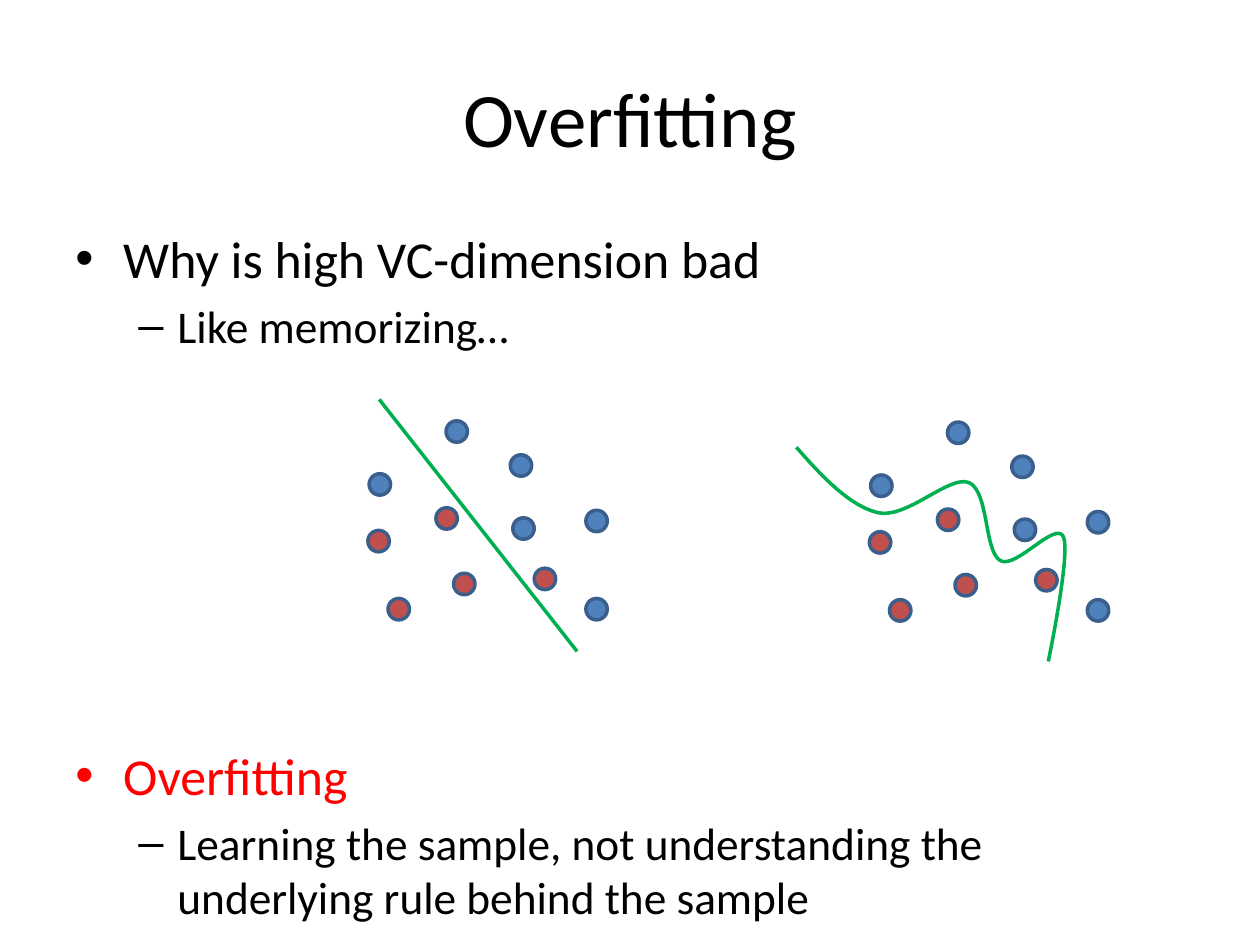
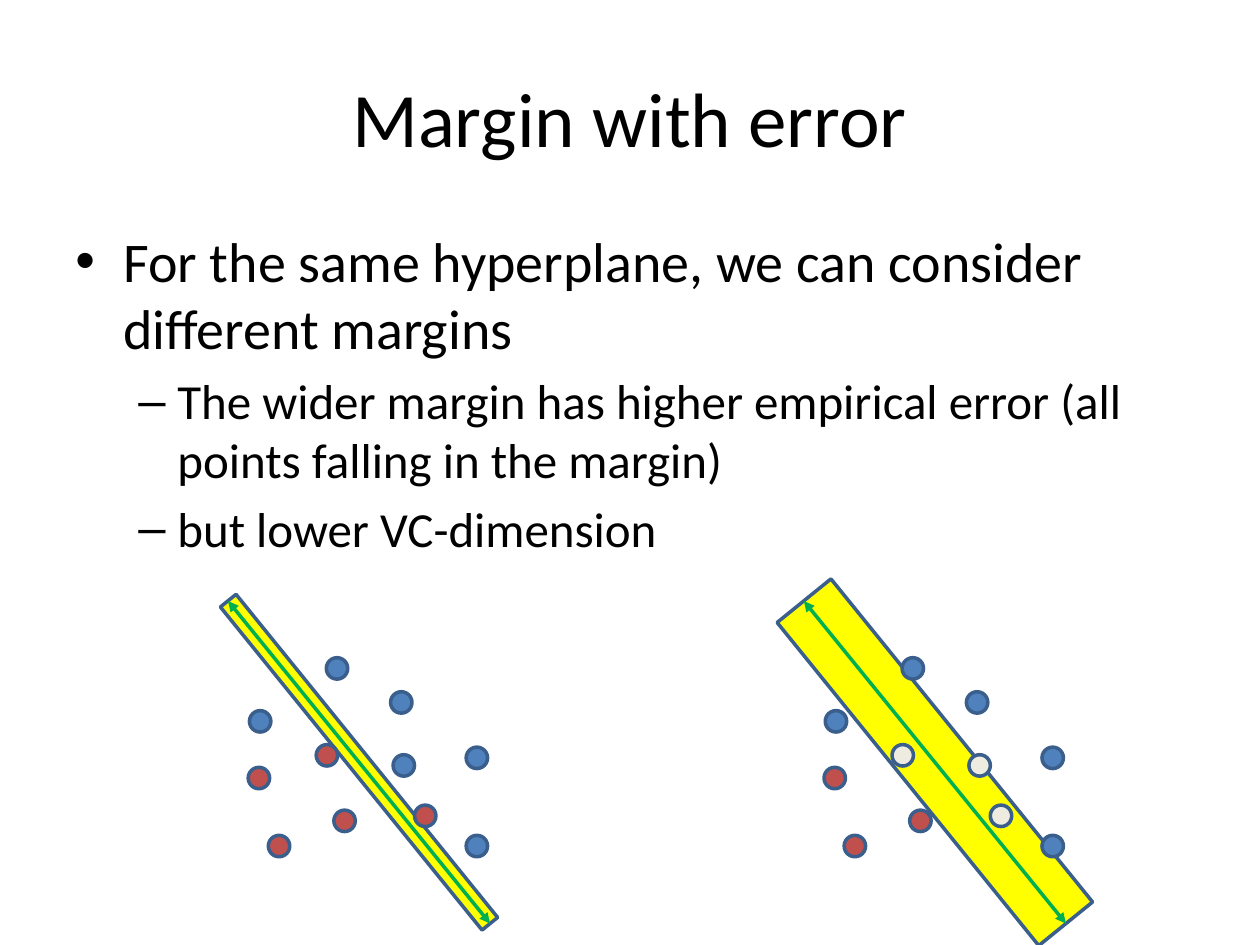
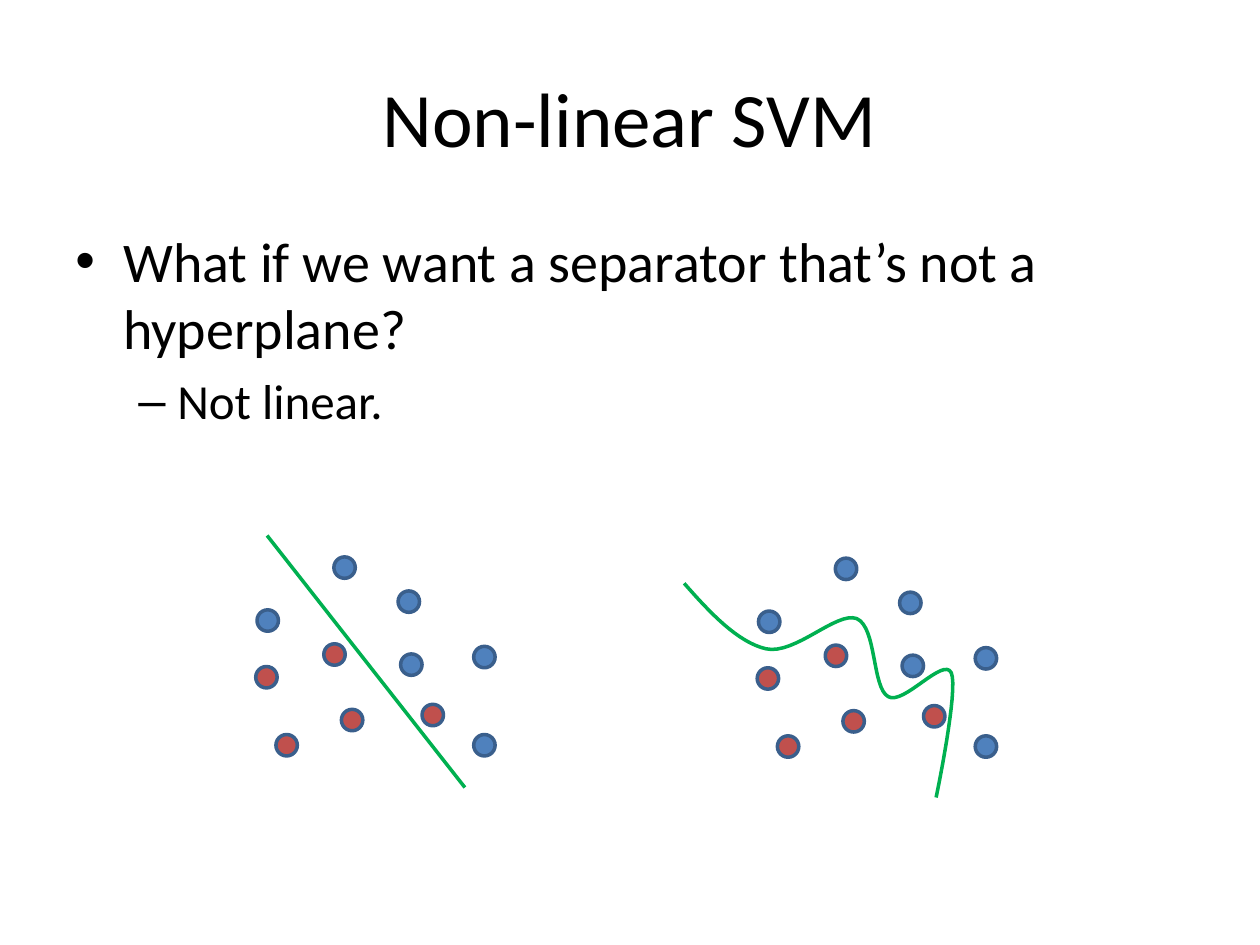
from lxml import etree
from pptx import Presentation
from pptx.dml.color import RGBColor
from pptx.enum.shapes import MSO_CONNECTOR, MSO_SHAPE
from pptx.enum.text import MSO_ANCHOR, PP_ALIGN
from pptx.oxml.ns import qn
from pptx.util import Inches, Pt

STRAIGHT = MSO_CONNECTOR.STRAIGHT
OVAL = MSO_SHAPE.OVAL
RECTANGLE = MSO_SHAPE.RECTANGLE
CENTER = PP_ALIGN.CENTER
TOP = MSO_ANCHOR.TOP
MIDDLE = MSO_ANCHOR.MIDDLE

FONT = "Calibri"
BLACK = "000000"
HIGHLIGHT = "FF0000"
BLUE = "4F81BD"
RED = "C0504D"
ERROR = "EEECE1"
OUTLINE = "3A5F8C"
SEPARATOR = "00B050"
MARGIN = "FFFF00"

BULLETS = [("•", 0.38, -0.38), ("–", 0.81, -0.31)]
POINT_SIZE = 0.17
BLUE_POINTS = [(0.01, 0.42), (1.73, 0.71), (1.13, 0.27),
               (1.15, 0.77), (1.73, 1.41), (0.62, 0)]
RED_POINTS = [(1.32, 1.17), (0.16, 1.41), (0.68, 1.21), (0.54, 0.69), (0, 0.87)]
MARGIN_ERRORS = [(1.15, 0.77), (1.32, 1.17), (0.54, 0.69)]
LINE_ENDS = [(0.09, -0.17), (1.66, 1.83)]
ARROW_ENDS = [(-0.16, -0.45), (1.92, 2.11)]
BAND_CENTER = (0.88, 0.83)
BAND_LENGTH = 3.3
BAND_ANGLE = 51
CURVE_START = (-0.58, 0.2)
CURVE_SEGMENTS = [
    [(-0.37, 0.44), (-0.15, 0.67), (0.07, 0.72)],
    [(0.3, 0.77), (0.63, 0.42), (0.79, 0.48)],
    [(0.95, 0.55), (0.91, 1.03), (1.04, 1.1)],
    [(1.16, 1.17), (1.48, 0.78), (1.54, 0.91)],
    [(1.6, 1.04), (1.42, 1.9), (1.42, 1.9)],
]
CURVE_STEPS = 16


def color(value):
    return RGBColor.from_string(value)


def style_line(line, value):
    line.color.rgb = color(value)
    line.width = Pt(2)


def move(origin, offset):
    return origin[0] + offset[0], origin[1] + offset[1]


def set_bullet(paragraph, level):
    character, margin, indent = BULLETS[level]
    properties = paragraph._p.get_or_add_pPr()
    properties.set("marL", str(Inches(margin)))
    properties.set("indent", str(Inches(indent)))
    etree.SubElement(properties, qn("a:buFont")).set("typeface", "Arial")
    etree.SubElement(properties, qn("a:buChar")).set("char", character)


def set_font(paragraph, size, value=BLACK):
    paragraph.font.name = FONT
    paragraph.font.size = Pt(size)
    paragraph.font.color.rgb = color(value)


def add_text_frame(slide, top, height, anchor):
    box = slide.shapes.add_textbox(Inches(0.5), Inches(top), Inches(9), Inches(height))
    frame = box.text_frame
    frame.word_wrap = True
    frame.vertical_anchor = anchor
    return frame


def add_title(slide, text):
    paragraph = add_text_frame(slide, 0.3, 1.25, MIDDLE).paragraphs[0]
    paragraph.text = text
    paragraph.alignment = CENTER
    set_font(paragraph, 44)


def add_body(slide, items, sizes=(32, 28)):
    frame = add_text_frame(slide, 1.75, 4.95, TOP)
    for index, (level, text, *options) in enumerate(items):
        value, gap = options or (BLACK, 0.2 * sizes[level])
        paragraph = frame.add_paragraph() if index else frame.paragraphs[0]
        paragraph.text = text
        paragraph.level = level
        if index:
            paragraph.space_before = Pt(gap)
        set_bullet(paragraph, level)
        set_font(paragraph, sizes[level], value)


def add_filled_shape(slide, kind, left, top, width, height, fill):
    shape = slide.shapes.add_shape(
        kind, Inches(left), Inches(top), Inches(width), Inches(height))
    shape.shadow.inherit = False
    shape.fill.solid()
    shape.fill.fore_color.rgb = color(fill)
    style_line(shape.line, OUTLINE)
    return shape


def add_points(slide, origin, errors=()):
    for points, fill in ((BLUE_POINTS, BLUE), (RED_POINTS, RED)):
        for point in points:
            add_filled_shape(slide, OVAL, *move(origin, point), POINT_SIZE, POINT_SIZE,
                             ERROR if point in errors else fill)


def add_separator(slide, origin, ends, arrows=False):
    positions = [Inches(value) for end in ends for value in move(origin, end)]
    connector = slide.shapes.add_connector(STRAIGHT, *positions)
    style_line(connector.line, SEPARATOR)
    if arrows:
        line = connector.line._get_or_add_ln()
        for tag in ("a:headEnd", "a:tailEnd"):
            etree.SubElement(line, qn(tag)).set("type", "triangle")
    etree.SubElement(connector._element.spPr, qn("a:effectLst"))


def bezier_point(controls, step):
    weights = ((1 - step) ** 3, 3 * step * (1 - step) ** 2,
               3 * step ** 2 * (1 - step), step ** 3)
    return tuple(sum(weight * control[axis] for weight, control in zip(weights, controls))
                 for axis in (0, 1))


def add_curve(slide, origin):
    points = [CURVE_START]
    for segment in CURVE_SEGMENTS:
        controls = [points[-1], *segment]
        points += [bezier_point(controls, step / CURVE_STEPS)
                   for step in range(1, CURVE_STEPS + 1)]
    start, *rest = [tuple(Inches(value) for value in move(origin, point))
                    for point in points]
    builder = slide.shapes.build_freeform(*start)
    builder.add_line_segments(rest, close=False)
    curve = builder.convert_to_shape()
    curve.shadow.inherit = False
    curve.fill.background()
    style_line(curve.line, SEPARATOR)


def add_separator_comparison(slide, line_origin, curve_origin):
    add_points(slide, line_origin)
    add_points(slide, curve_origin)
    add_separator(slide, line_origin, LINE_ENDS)
    add_curve(slide, curve_origin)


def add_margin_figure(slide, origin, thickness, errors=()):
    center_x, center_y = move(origin, BAND_CENTER)
    band = add_filled_shape(slide, RECTANGLE, center_x - BAND_LENGTH / 2,
                            center_y - thickness / 2, BAND_LENGTH, thickness, MARGIN)
    band.rotation = BAND_ANGLE
    add_points(slide, origin, errors)
    add_separator(slide, origin, ARROW_ENDS, arrows=True)


def add_content_slide(presentation, title):
    slide = presentation.slides.add_slide(presentation.slide_layouts[6])
    add_title(slide, title)
    return slide


def main():
    presentation = Presentation()
    presentation.slide_width = Inches(10)
    presentation.slide_height = Inches(7.5)

    slide = add_content_slide(presentation, "Overfitting")
    add_body(slide, [
        (0, "Why is high VC-dimension bad"),
        (1, "Like memorizing…"),
        (0, "Overfitting", HIGHLIGHT, 223.5),
        (1, "Learning the sample, not understanding the underlying rule behind the sample"),
    ], sizes=(29.6, 25.9))
    add_separator_comparison(slide, (2.92, 3.34), (6.9, 3.35))

    slide = add_content_slide(presentation, "Margin with error")
    add_body(slide, [
        (0, "For the same hyperplane, we can consider different margins"),
        (1, "The wider margin has higher empirical error (all points falling in the margin)"),
        (1, "but lower VC-dimension"),
    ])
    add_margin_figure(slide, (1.97, 5.22), 0.16)
    add_margin_figure(slide, (6.54, 5.22), 0.55, MARGIN_ERRORS)

    slide = add_content_slide(presentation, "Non-linear SVM")
    add_body(slide, [
        (0, "What if we want a separator that’s not a hyperplane?"),
        (1, "Not linear."),
    ])
    add_separator_comparison(slide, (2.03, 4.42), (6.01, 4.43))

    presentation.save("out.pptx")


if __name__ == "__main__":
    main()
